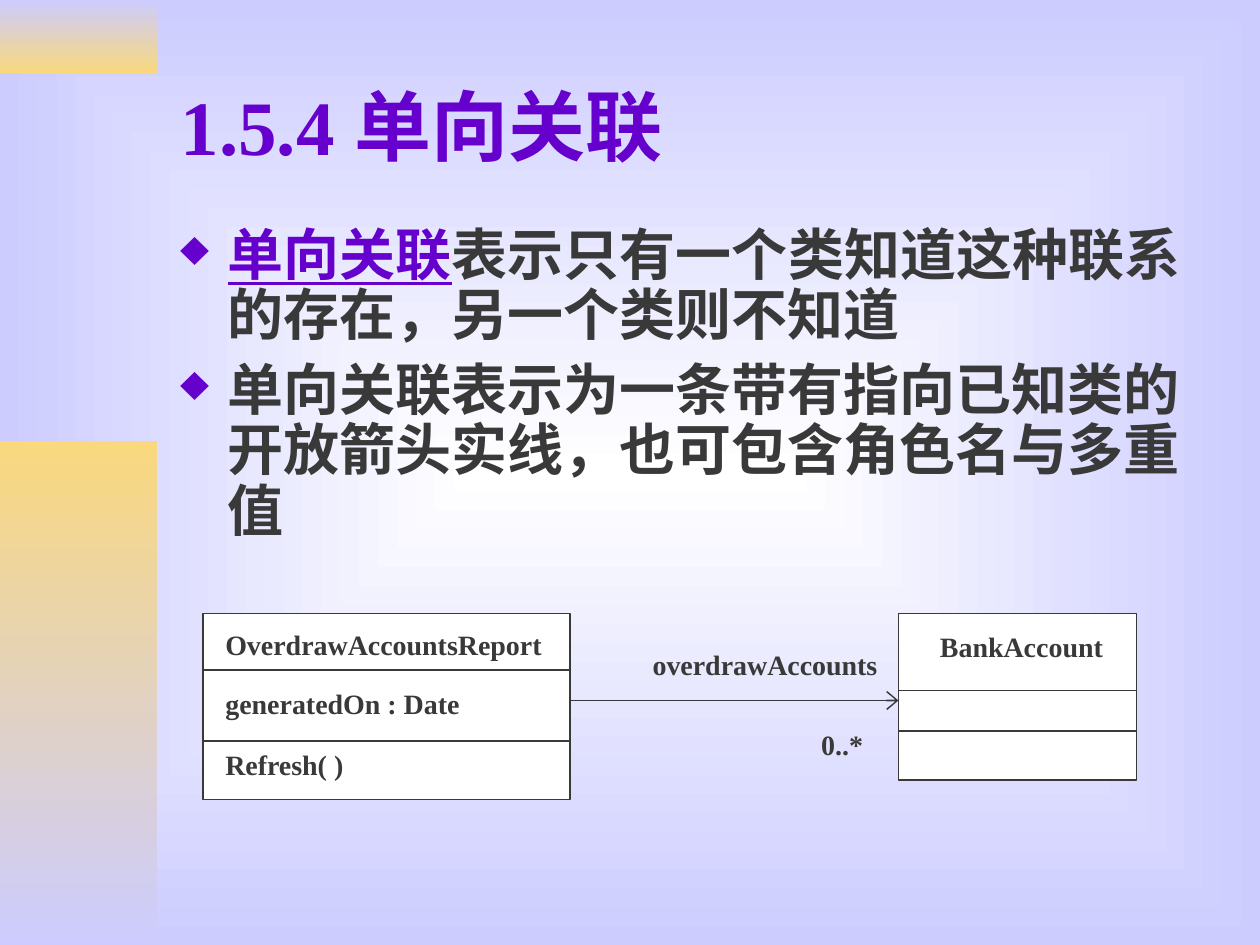
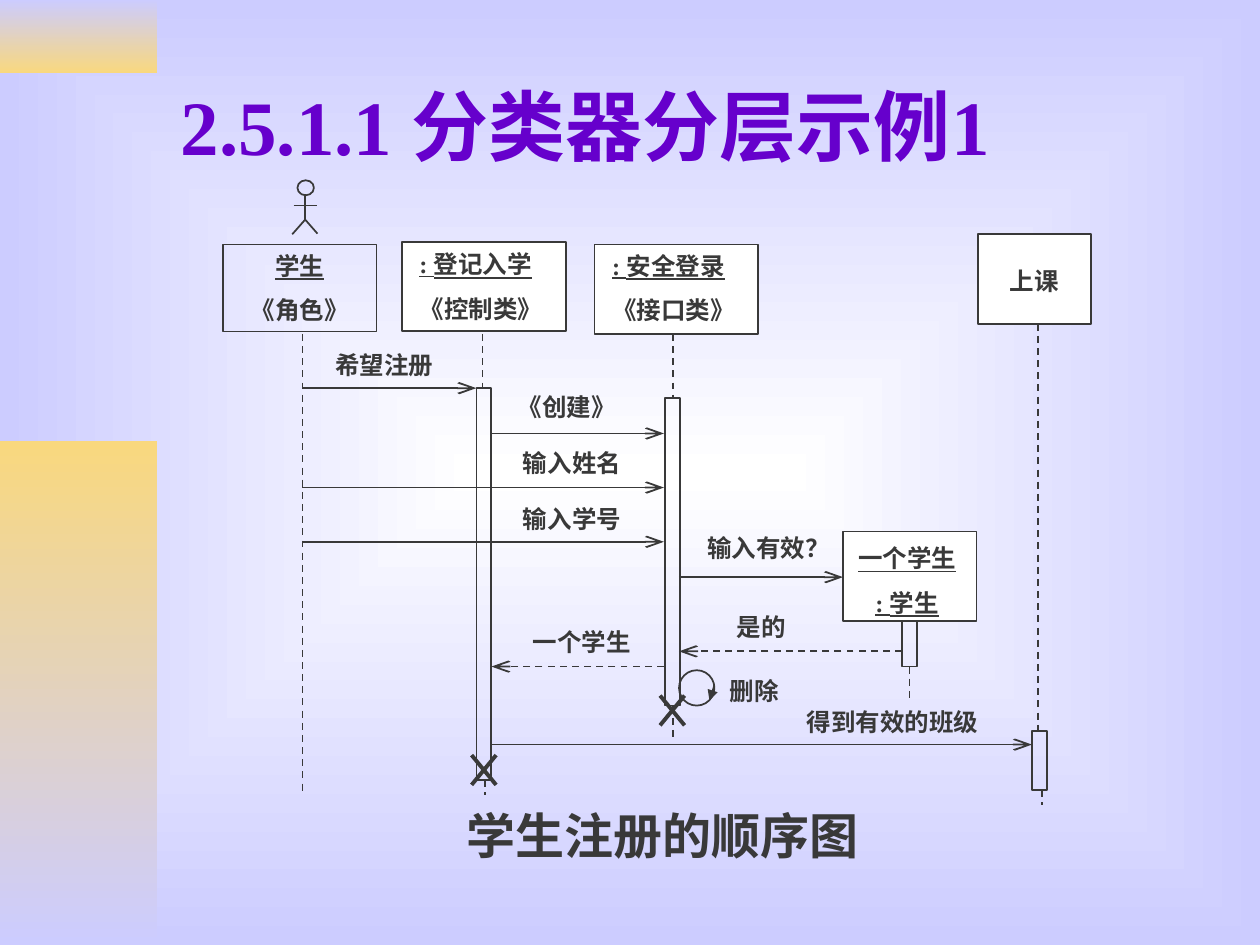
"""Build two UML slides: a one-way association and a layered sequence diagram."""
from dataclasses import dataclass
from typing import Any, NamedTuple, Optional

import lxml.etree
import pptx
import pptx.dml.color
import pptx.dml.fill
import pptx.enum.dml
import pptx.enum.shapes
import pptx.enum.text
import pptx.oxml.ns
import pptx.presentation
import pptx.shapes.autoshape
import pptx.slide
import pptx.text.text
import pptx.util

Pt = pptx.util.Pt
qn = pptx.oxml.ns.qn
RGBColor = pptx.dml.color.RGBColor
Align = pptx.enum.text.PP_ALIGN
Anchor = pptx.enum.text.MSO_ANCHOR
Shape = pptx.enum.shapes.MSO_SHAPE


@dataclass(frozen=True)
class Theme:
    font: str = "Times New Roman"
    accent: str = "6600CC"
    ink: str = "393939"
    paper: str = "FFFFFF"
    lavender: str = "CCCCFF"
    gold: str = "F9D87E"
    title_size: float = 44
    body_size: float = 32
    caption_size: float = 28
    class_size: float = 16
    sequence_size: float = 14
    thin: float = 1
    thick: float = 2.25


THEME = Theme()


class Frame(NamedTuple):
    left: float
    top: float
    width: float
    height: float

    def lengths(self) -> list[pptx.util.Length]:
        return [Pt(value) for value in self]


class Run(NamedTuple):
    text: str
    underline: bool = False
    color: str = THEME.ink


class Arrow(NamedTuple):
    kind: str
    width: str = "med"
    length: str = "med"


class Label(NamedTuple):
    frame: Frame
    paragraphs: list[list[Run]]
    size: float
    align: Any = Align.LEFT
    space: float = 0
    line_spacing: float = 1.0
    bullet: Optional[str] = None


class ClassBox(NamedTuple):
    frame: Frame
    dividers: list[float]


class Classifier(NamedTuple):
    frame: Frame
    text_frame: Frame
    paragraphs: list[list[Run]]
    align: Any = Align.CENTER
    fill: Optional[str] = THEME.paper


class Message(NamedTuple):
    start: float
    end: float
    y: float
    text: str
    text_center: float
    text_top: float
    dashed: bool = False


class Lifeline(NamedTuple):
    x: float
    top: float
    bottom: float


WIDE_ARROW = Arrow("arrow", width="lg")
LONG_ARROW = Arrow("arrow", length="lg")
BANDS = [
    (Frame(0, 0, 90, 42), (THEME.lavender, THEME.gold)),
    (Frame(0, 252, 90, 288), (THEME.gold, THEME.lavender)),
]

CLASS_BOXES = [
    ClassBox(Frame(116, 350.6, 209.8, 106.3), [383, 423.4]),
    ClassBox(Frame(513.4, 350.6, 136.1, 95), [394.6, 417.6]),
]
CLASS_LABELS = [
    ("OverdrawAccountsReport", 121.7, 355, 200, Align.LEFT),
    ("generatedOn : Date", 121.7, 389, 170, Align.LEFT),
    ("Refresh( )", 121.7, 423.4, 113, Align.LEFT),
    ("overdrawAccounts", 365.8, 366.5, 148, Align.LEFT),
    ("0..*", 462.2, 412, 46, Align.LEFT),
    ("BankAccount", 524.2, 356.4, 119, Align.CENTER),
]
ASSOCIATION_POINTS = [
    [Run("单向关联", True, THEME.accent), Run("表示只有一个类知道这种联系的存在，另一个类则不知道")],
    [Run("单向关联表示为一条带有指向已知类的开放箭头实线，也可包含角色名与多重值")],
]

CLASSIFIERS = [
    Classifier(Frame(127.4, 139.7, 87.8, 49.7), Frame(127.4, 139.7, 87.8, 49.7),
               [[Run("学生", True)], [Run("《角色》")]], fill=None),
    Classifier(Frame(229.7, 138.2, 93.6, 51.1), Frame(232.6, 139, 87, 49.7),
               [[Run(": 登记入学", True)], [Run("《控制类》")]], Align.LEFT),
    Classifier(Frame(339.8, 139.7, 93.6, 51.1), Frame(342.7, 139.7, 87, 49.7),
               [[Run(": 安全登录", True)], [Run("《接口类》")]], Align.LEFT),
    Classifier(Frame(481.7, 303.8, 76.3, 51.1), Frame(481.7, 306.7, 73.4, 49.7),
               [[Run("一个学生", True)], [Run(": 学生", True)]]),
    Classifier(Frame(558.7, 133.9, 64.8, 51.1), Frame(569.5, 148.3, 43, 24.5),
               [[Run("上课")]]),
]
ACTIVATIONS = [
    Frame(left, top, 8.6, height)
    for left, top, height in [(272.2, 221.8, 223.9), (379.8, 227.5, 175.7),
                              (515.5, 355, 25.9), (589.7, 417.6, 33.8)]
]
LIFELINES = [
    Lifeline(172.8, 190.8, 454.3), Lifeline(275.8, 190.8, 221.8),
    Lifeline(384.5, 190.8, 227.5), Lifeline(384.5, 403.2, 423.4),
    Lifeline(519.8, 380.9, 400.3), Lifeline(593.3, 185, 417.6),
    Lifeline(277.2, 445.7, 454.3), Lifeline(595.4, 451.4, 460),
]
MESSAGES = [
    Message(172.8, 272.2, 221.8, "希望注册", 219.6, 196.6),
    Message(280.8, 379.4, 247.7, "《创建》", 324, 220.3),
    Message(172.8, 379.4, 278.6, "输入姓名", 326.9, 252.7),
    Message(172.8, 379.4, 309.6, "输入学号", 326.9, 284.4),
    Message(388, 481.7, 329.8, "输入有效？", 439.2, 301),
    Message(515.5, 388, 372.2, "是的", 434.9, 346.3, True),
    Message(379.4, 280.8, 380.9, "一个学生", 332.6, 355, True),
    Message(280.8, 589.7, 425.5, "得到有效的班级", 510, 400.3),
]
ACTOR_HEAD = Frame(170, 103, 9.4, 8.6)
ACTOR_LIMBS = [
    (167.8, 117.4, 181.4, 117.4), (174.4, 111, 174.4, 126),
    (174.4, 125.5, 167, 133.9), (174.4, 125.5, 181.4, 133.5),
]
DESTRUCTIONS = [(384.2, 406), (276.5, 440)]


def apply_format(target: Any, values: dict[str, Any]) -> None:
    for name, value in values.items():
        setattr(target, name, value)


def color(code: str) -> RGBColor:
    return RGBColor.from_string(code)


def fill_gradient(fill: pptx.dml.fill.FillFormat, codes: tuple[str, str]) -> None:
    fill.gradient()
    fill.gradient_angle = 270
    for stop, code in zip(fill.gradient_stops, codes):
        stop.color.rgb = color(code)


def set_background(presentation: pptx.presentation.Presentation) -> None:
    background = presentation.slide_master.background
    fill_gradient(background.fill, (THEME.paper, THEME.lavender))
    linear = next(presentation.slide_master.element.iter(qn("a:lin")))
    radial = lxml.etree.Element(qn("a:path"), path="rect")
    lxml.etree.SubElement(radial, qn("a:fillToRect"), dict.fromkeys("ltrb", "50000"))
    linear.getparent().replace(linear, radial)


def add_shape(slide: pptx.slide.Slide, frame: Frame, fill: Optional[str] = None,
              kind: Any = Shape.RECTANGLE) -> pptx.shapes.autoshape.Shape:
    shape = slide.shapes.add_shape(kind, *frame.lengths())
    shape.shadow.inherit = False
    if fill:
        shape.fill.solid()
        shape.fill.fore_color.rgb = color(fill)
    else:
        shape.fill.background()
    shape.line.color.rgb = color(THEME.ink)
    shape.line.width = Pt(THEME.thin)
    return shape


def add_line(slide: pptx.slide.Slide, x1: float, y1: float, x2: float, y2: float,
             arrow: Optional[Arrow] = None, dashed: bool = False,
             weight: float = THEME.thin) -> None:
    connector = slide.shapes.add_connector(
        pptx.enum.shapes.MSO_CONNECTOR.STRAIGHT, Pt(x1), Pt(y1), Pt(x2), Pt(y2))
    connector.line.color.rgb = color(THEME.ink)
    connector.line.width = Pt(weight)
    if dashed:
        connector.line.dash_style = pptx.enum.dml.MSO_LINE.DASH
    properties = connector._element.spPr
    if arrow:
        lxml.etree.SubElement(properties.find(qn("a:ln")), qn("a:tailEnd"),
                              type=arrow.kind, w=arrow.width, len=arrow.length)
    lxml.etree.SubElement(properties, qn("a:effectLst"))


def add_bullet(paragraph: pptx.text.text._Paragraph, character: str) -> None:
    properties = paragraph._p.get_or_add_pPr()
    properties.set("marL", str(Pt(27)))
    properties.set("indent", str(-Pt(27)))
    bullet_color = lxml.etree.SubElement(properties, qn("a:buClr"))
    lxml.etree.SubElement(bullet_color, qn("a:srgbClr"), val=THEME.accent)
    lxml.etree.SubElement(properties, qn("a:buSzPct"), val="90000")
    lxml.etree.SubElement(properties, qn("a:buChar"), char=character)


def write_run(paragraph: pptx.text.text._Paragraph, content: Run, size: float) -> None:
    run = paragraph.add_run()
    run.text = content.text
    apply_format(run.font, {"name": THEME.font, "size": Pt(size), "bold": True,
                            "underline": content.underline})
    run.font.color.rgb = color(content.color)


def add_label(slide: pptx.slide.Slide, label: Label) -> None:
    text_frame = slide.shapes.add_textbox(*label.frame.lengths()).text_frame
    apply_format(text_frame, {"word_wrap": True, "vertical_anchor": Anchor.TOP})
    for index, runs in enumerate(label.paragraphs):
        paragraph = text_frame.add_paragraph() if index else text_frame.paragraphs[0]
        if label.bullet:
            add_bullet(paragraph, label.bullet)
        apply_format(paragraph, {"alignment": label.align,
                                 "line_spacing": label.line_spacing,
                                 "space_before": Pt(label.space if index else 0)})
        for run in runs:
            write_run(paragraph, run, label.size)


def add_slide(presentation: pptx.presentation.Presentation, title: str) -> pptx.slide.Slide:
    slide = presentation.slides.add_slide(presentation.slide_layouts[5])
    for frame, codes in BANDS:
        band = add_shape(slide, frame)
        fill_gradient(band.fill, codes)
        band.line.fill.background()
    placeholder = slide.shapes.title
    apply_format(placeholder, dict(zip(("left", "top", "width", "height"),
                                       Frame(96, 24, 612, 95).lengths())))
    apply_format(placeholder.text_frame, {
        "word_wrap": True, "vertical_anchor": Anchor.MIDDLE,
        "auto_size": pptx.enum.text.MSO_AUTO_SIZE.NONE})
    paragraph = placeholder.text_frame.paragraphs[0]
    paragraph.alignment = Align.LEFT
    write_run(paragraph, Run(title, color=THEME.accent), THEME.title_size)
    return slide


def add_message_label(slide: pptx.slide.Slide, text: str, center: float, top: float) -> None:
    width = len(text) * THEME.sequence_size + 18
    add_label(slide, Label(Frame(center - width / 2, top, width, 24.5), [[Run(text)]],
                           THEME.sequence_size, Align.CENTER))


def build_association(presentation: pptx.presentation.Presentation) -> None:
    slide = add_slide(presentation, "1.5.4 单向关联")
    add_label(slide, Label(Frame(96, 126, 612, 189), ASSOCIATION_POINTS, THEME.body_size,
                           space=8, line_spacing=0.9, bullet="♦"))
    for frame, dividers in CLASS_BOXES:
        add_shape(slide, frame, THEME.paper)
        for y in dividers:
            add_line(slide, frame.left, y, frame.left + frame.width, y)
    add_line(slide, 326, 400.3, 513.4, 400.3, WIDE_ARROW)
    for text, left, top, width, align in CLASS_LABELS:
        add_label(slide, Label(Frame(left, top, width, 26.6), [[Run(text)]],
                               THEME.class_size, align))


def build_sequence(presentation: pptx.presentation.Presentation) -> None:
    slide = add_slide(presentation, "2.5.1.1 分类器分层示例1")
    add_label(slide, Label(Frame(108, 463, 541.4, 37.4), [[Run("学生注册的顺序图")]],
                           THEME.caption_size, Align.CENTER, line_spacing=0.8))
    add_shape(slide, ACTOR_HEAD, kind=Shape.OVAL)
    for limb in ACTOR_LIMBS:
        add_line(slide, *limb)
    for item in CLASSIFIERS:
        add_shape(slide, item.frame, item.fill)
        add_label(slide, Label(item.text_frame, item.paragraphs, THEME.sequence_size,
                               item.align, space=8.8))
    for frame in ACTIVATIONS:
        add_shape(slide, frame)
    for x, top, bottom in LIFELINES:
        add_line(slide, x, top, x, bottom, dashed=True)
    for message in MESSAGES:
        add_line(slide, message.start, message.y, message.end, message.y,
                 LONG_ARROW, message.dashed)
        add_message_label(slide, message.text, message.text_center, message.text_top)
    add_shape(slide, Frame(388, 383, 20.2, 20.2), kind=Shape.OVAL)
    add_line(slide, 408.2, 391.7, 405.4, 400.3, Arrow("triangle"))
    add_message_label(slide, "删除", 430.9, 383)
    for x, y in DESTRUCTIONS:
        for rise in (-8.5, 8.5):
            add_line(slide, x - 7, y + rise, x + 7, y - rise, weight=THEME.thick)


def main() -> None:
    presentation = pptx.Presentation()
    apply_format(presentation, {"slide_width": Pt(720), "slide_height": Pt(540)})
    set_background(presentation)
    build_association(presentation)
    build_sequence(presentation)
    presentation.save("out.pptx")


if __name__ == "__main__":
    main()
